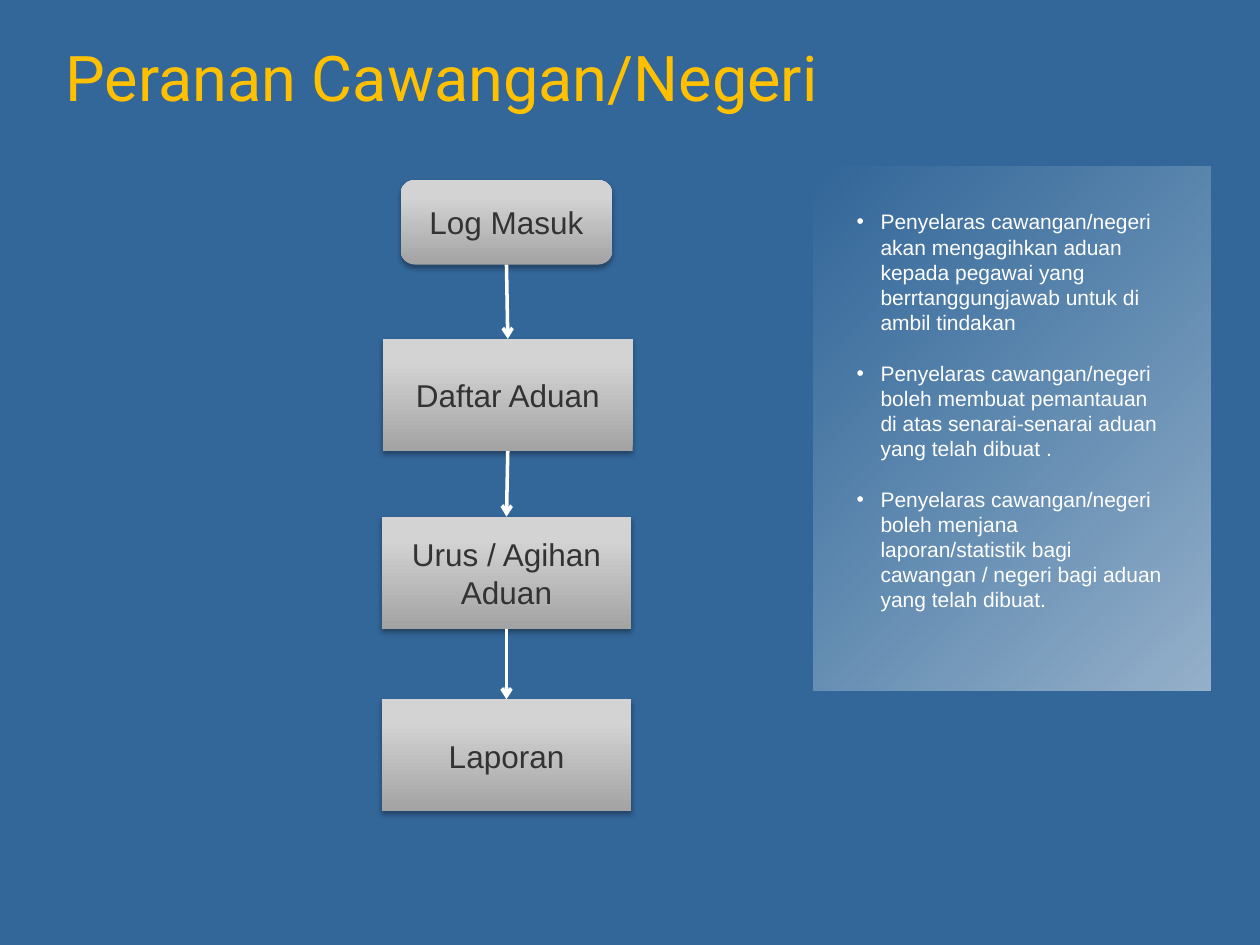
from dataclasses import dataclass
from itertools import pairwise

from lxml import etree
from pptx import Presentation
from pptx.dml.color import RGBColor
from pptx.enum.shapes import MSO_CONNECTOR, MSO_SHAPE
from pptx.enum.text import MSO_ANCHOR, MSO_AUTO_SIZE, PP_ALIGN
from pptx.oxml.ns import qn
from pptx.util import Inches, Pt

PROCESS = MSO_SHAPE.FLOWCHART_PROCESS
ROUNDED = MSO_SHAPE.FLOWCHART_ALTERNATE_PROCESS
STRAIGHT = MSO_CONNECTOR.STRAIGHT
LEFT, CENTER = PP_ALIGN.LEFT, PP_ALIGN.CENTER
TOP, MIDDLE = MSO_ANCHOR.TOP, MSO_ANCHOR.MIDDLE
GROW = MSO_AUTO_SIZE.SHAPE_TO_FIT_TEXT

BLUE = RGBColor(0x33, 0x66, 0x99)
GOLD = RGBColor(0xFF, 0xC0, 0x00)
WHITE = RGBColor(0xFF, 0xFF, 0xFF)
BLACK = RGBColor(0x00, 0x00, 0x00)
CHARCOAL = RGBColor(0x33, 0x33, 0x33)
MINT = RGBColor(0xDD, 0xF7, 0xF5)
DARK_GREY = RGBColor(0xA3, 0xA3, 0xA3)
MID_GREY = RGBColor(0xD3, 0xD3, 0xD3)
LIGHT_GREY = RGBColor(0xD4, 0xD4, 0xD4)


@dataclass(frozen=True)
class Stop:
    position: int
    color: RGBColor
    opacity: int = 100


@dataclass(frozen=True)
class Step:
    label: str
    left: float
    top: float
    width: float = 1.98
    height: float = 0.89
    outline: int = PROCESS

    @property
    def center(self) -> float:
        return self.left + self.width / 2

    @property
    def bottom(self) -> float:
        return self.top + self.height


STEEL = (Stop(0, DARK_GREY), Stop(80, MID_GREY), Stop(100, LIGHT_GREY))
GLASS = (Stop(0, MINT, 0), Stop(100, WHITE, 49))

STEPS = (
    Step("Log Masuk", 3.18, 1.43, 1.68, 0.67, ROUNDED),
    Step("Daftar Aduan", 3.04, 2.69),
    Step("Urus / Agihan Aduan", 3.03, 4.1),
    Step("Laporan", 3.03, 5.55),
)

DUTIES = (
    "Penyelaras cawangan/negeri akan mengagihkan aduan kepada pegawai yang "
    "berrtanggungjawab untuk di ambil tindakan",
    "Penyelaras cawangan/negeri boleh membuat pemantauan di atas "
    "senarai-senarai aduan yang telah dibuat .",
    "Penyelaras cawangan/negeri boleh menjana laporan/statistik bagi "
    "cawangan / negeri bagi aduan yang telah dibuat.",
)


def add_node(parent, tag: str, **attributes):
    return etree.SubElement(
        parent, qn(tag), {name: str(value) for name, value in attributes.items()}
    )


def add_color(parent, color: RGBColor, opacity: int) -> None:
    tint = add_node(parent, "a:srgbClr", val=color)
    add_node(tint, "a:alpha", val=opacity * 1000)


def fill_gradient(shape, stops: tuple[Stop, ...], angle: int | None = None) -> None:
    properties = shape._element.spPr
    gradient = add_node(properties, "a:gradFill", rotWithShape=1)
    stop_list = add_node(gradient, "a:gsLst")
    for stop in stops:
        node = add_node(stop_list, "a:gs", pos=stop.position * 1000)
        add_color(node, stop.color, stop.opacity)
    if angle is None:
        path = add_node(gradient, "a:path", path="circle")
        add_node(path, "a:fillToRect", r=100000, b=100000)
    else:
        add_node(gradient, "a:lin", ang=angle * 60000, scaled=0)
    properties.find(qn("a:prstGeom")).addnext(gradient)


def add_panel(slide, outline: int, left: float, top: float, width: float, height: float):
    panel = slide.shapes.add_shape(
        outline, Inches(left), Inches(top), Inches(width), Inches(height)
    )
    panel.line.fill.background()
    panel.shadow.inherit = False
    return panel


def write_text(frame, *texts: str, size: int, color: RGBColor, font: str = "Arial",
               align=LEFT, anchor=TOP, bullet: str = "", gap: float = 0) -> None:
    frame.word_wrap = True
    frame.vertical_anchor = anchor
    for index, text in enumerate(texts):
        paragraph = frame.paragraphs[0] if index == 0 else frame.add_paragraph()
        paragraph.alignment = align
        if index:
            paragraph.space_before = Pt(gap)
        if bullet:
            layout = paragraph._p.get_or_add_pPr()
            layout.set("marL", str(Inches(0.19)))
            layout.set("indent", str(Inches(-0.19)))
            add_node(layout, "a:buFont", typeface="Arial")
            add_node(layout, "a:buChar", char=bullet)
        run = paragraph.add_run()
        run.text = text
        run.font.size = Pt(size)
        run.font.name = font
        run.font.color.rgb = color


def draw_step(slide, step: Step) -> None:
    box = add_panel(slide, step.outline, step.left, step.top, step.width, step.height)
    fill_gradient(box, STEEL, angle=270)
    effects = box._element.spPr.find(qn("a:effectLst"))
    shadow = add_node(effects, "a:outerShdw", blurRad=Pt(3.1), dist=Pt(1.8),
                      dir=90 * 60000, rotWithShape=0)
    add_color(shadow, BLACK, 35)
    write_text(box.text_frame, step.label, size=18, color=CHARCOAL,
               align=CENTER, anchor=MIDDLE)


def draw_arrow(slide, start: Step, end: Step) -> None:
    arrow = slide.shapes.add_connector(
        STRAIGHT, Inches(start.center), Inches(start.bottom),
        Inches(end.center), Inches(end.top)
    )
    arrow.line.color.rgb = WHITE
    arrow.line.width = Pt(2)
    add_node(arrow.line._get_or_add_ln(), "a:tailEnd", type="arrow")
    add_node(arrow._element.spPr, "a:effectLst")


def main() -> None:
    deck = Presentation()
    deck.slide_width, deck.slide_height = Inches(10), Inches(7.5)
    slide = deck.slides.add_slide(deck.slide_layouts[6])
    slide.background.fill.solid()
    slide.background.fill.fore_color.rgb = BLUE

    title = slide.shapes.add_textbox(
        Inches(0.39), Inches(0.41), Inches(8.51), Inches(0.39)
    ).text_frame
    title.margin_left = title.margin_right = Inches(0.13)
    title.margin_top = title.margin_bottom = Inches(0.07)
    write_text(title, "Peranan Cawangan/Negeri", size=36, color=GOLD,
               font="Roboto", anchor=MIDDLE)

    duty_panel = add_panel(slide, PROCESS, 6.46, 1.32, 3.15, 4.16)
    fill_gradient(duty_panel, GLASS)
    duties = slide.shapes.add_textbox(
        Inches(6.7), Inches(1.61), Inches(2.68), Inches(3.33)
    ).text_frame
    write_text(duties, *DUTIES, size=12, color=WHITE, bullet="•", gap=14.4)
    duties.auto_size = GROW

    for step in STEPS:
        draw_step(slide, step)
    for start, end in pairwise(STEPS):
        draw_arrow(slide, start, end)

    deck.save("out.pptx")


if __name__ == "__main__":
    main()
